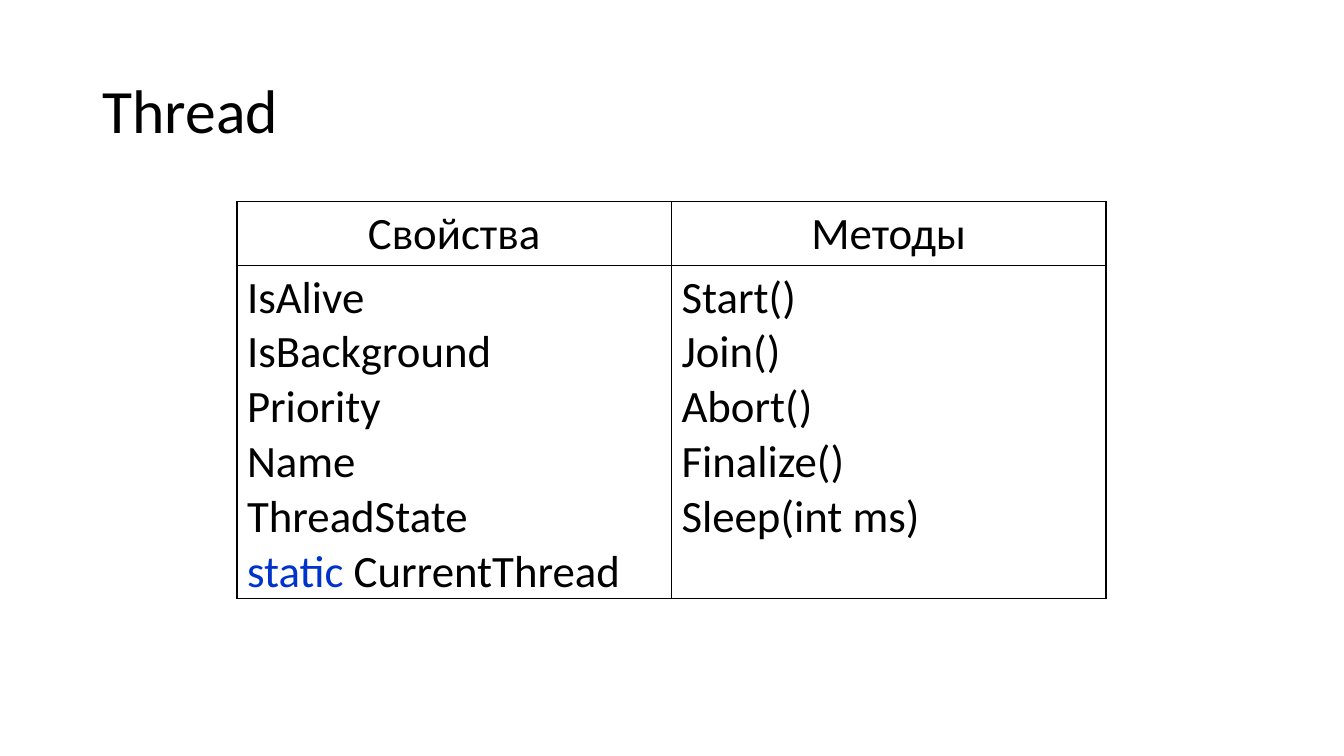
from lxml.etree import SubElement
from pptx import Presentation
from pptx.dml.color import RGBColor
from pptx.enum.text import MSO_ANCHOR as Anchor, PP_ALIGN as Align
from pptx.oxml.ns import qn
from pptx.util import Inches, Pt

BLACK, KEYWORD_BLUE = "000000", "0033CC"
HEADINGS = ["Свойства", "Методы"]
PROPERTIES = ["IsAlive", "IsBackground", "Priority", "Name", "ThreadState",
              "static CurrentThread"]
METHODS = ["Start()", "Join()", "Abort()", "Finalize()", "Sleep(int ms)"]
ROW_HEIGHTS = [0.56, 1.82]


def rgb(value):
    """Return the colour for a hex string."""
    return RGBColor.from_string(value)


def set_values(target, values):
    """Set each attribute of the target from a dict."""
    for key, value in values.items():
        setattr(target, key, value)


def add_run(paragraph, text, size, color=BLACK):
    """Append a formatted run to a paragraph."""
    run = paragraph.add_run()
    run.text = text
    set_values(run.font, {"name": "Calibri", "size": Pt(size)})
    run.font.color.rgb = rgb(color)


def add_title(slide, text):
    """Add the slide heading."""
    heading = slide.shapes.add_textbox(
        Inches(0.92), Inches(0.4), Inches(11.5), Inches(1.45)).text_frame
    set_values(heading, {"word_wrap": True, "vertical_anchor": Anchor.MIDDLE})
    heading.paragraphs[0].line_spacing = 0.9
    add_run(heading.paragraphs[0], text, 44)


def add_borders(cell):
    """Draw thin black lines on all four sides of a cell."""
    properties = cell._tc.get_or_add_tcPr()
    for position, side in enumerate(("lnL", "lnR", "lnT", "lnB")):
        border = SubElement(properties, qn(f"a:{side}"), w=str(Pt(1)))
        properties.insert(position, border)
        fill = SubElement(border, qn("a:solidFill"))
        SubElement(fill, qn("a:srgbClr"), val=BLACK)


def fill_cell(cell, lines, alignment):
    """Write one paragraph per line, with keywords in blue."""
    cell.fill.background()
    add_borders(cell)
    frame = cell.text_frame
    for index, line in enumerate(lines):
        paragraph = frame.add_paragraph() if index else frame.paragraphs[0]
        paragraph.alignment = alignment
        keyword, space, member = line.partition("static ")
        if space:
            add_run(paragraph, space, 32, KEYWORD_BLUE)
        add_run(paragraph, member or keyword, 32)


def add_members_table(slide):
    """Add the table of properties and methods."""
    members = slide.shapes.add_table(
        2, 2, Inches(2.35), Inches(2), Inches(8.62), Inches(3.93)).table
    set_values(members, {"first_row": False, "horz_banding": False})
    for row, height in zip(members.rows, ROW_HEIGHTS):
        row.height = Inches(height)
    for column, lines in enumerate([PROPERTIES, METHODS]):
        fill_cell(members.cell(0, column), [HEADINGS[column]], Align.CENTER)
        fill_cell(members.cell(1, column), lines, Align.LEFT)


def main():
    """Build and save the slide."""
    deck = Presentation()
    set_values(deck, {"slide_width": Inches(13.33), "slide_height": Inches(7.5)})
    slide = deck.slides.add_slide(deck.slide_layouts[6])
    add_title(slide, "Thread")
    add_members_table(slide)
    deck.save("out.pptx")


if __name__ == "__main__":
    main()
